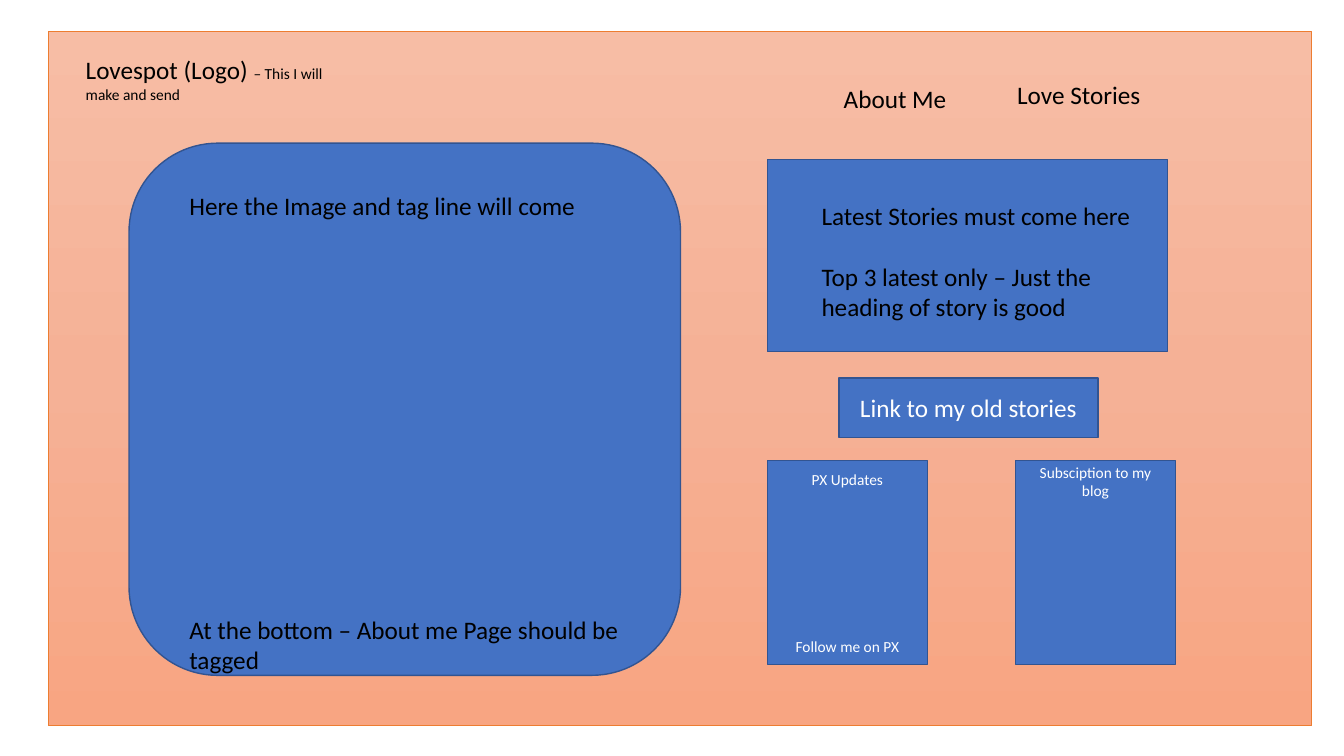
from copy import deepcopy
from dataclasses import dataclass

from pptx import Presentation
from pptx.dml.color import RGBColor
from pptx.enum.shapes import MSO_SHAPE
from pptx.enum.text import MSO_ANCHOR, MSO_AUTO_SIZE, PP_ALIGN
from pptx.oxml.ns import qn
from pptx.util import Inches, Pt

RECTANGLE, ROUNDED = MSO_SHAPE.RECTANGLE, MSO_SHAPE.ROUNDED_RECTANGLE
TOP, MIDDLE = MSO_ANCHOR.TOP, MSO_ANCHOR.MIDDLE
LEFT, CENTER = PP_ALIGN.LEFT, PP_ALIGN.CENTER
NO_AUTOFIT = MSO_AUTO_SIZE.NONE

FONT = "Calibri"
BLACK, WHITE = "000000", "FFFFFF"
BLUE, NAVY, ORANGE = "4472C4", "325491", "ED7D31"
PANEL_STOPS = ("F7BDA5", "F5B196", "F8A582")
BODY, SMALL = 18, 11
TITLE_ONLY = 5


@dataclass
class Area:
    left: float
    top: float
    width: float
    height: float

    def lengths(self) -> tuple:
        return tuple(Inches(n) for n in (self.left, self.top, self.width, self.height))


@dataclass
class Block:
    area: Area
    lines: tuple = ()
    size: int = BODY
    gap: float = 0  # points between paragraphs
    outline: int = RECTANGLE
    anchor: int = MIDDLE
    margin_top: float = 0.05


BLOCKS = (
    Block(Area(1.28, 1.42, 5.47, 5.28), outline=ROUNDED),
    Block(Area(7.61, 1.58, 3.97, 1.91)),
    Block(Area(7.61, 4.57, 1.59, 2.02), ("PX Updates", "Follow me on PX"), SMALL, 106),
    Block(Area(10.07, 4.57, 1.59, 2.02), ("Subsciption to my blog",), SMALL,
          anchor=TOP, margin_top=0.02),
    Block(Area(8.32, 3.75, 2.57, 0.59), ("Link to my old stories",)),
)
NOTES = (
    Block(Area(1.78, 1.84, 4.57, 4.95),
          ("Here the Image and tag line will come",
           "At the bottom – About me Page should be tagged"), gap=281),
    Block(Area(8.05, 1.94, 3.36, 1.31),
          ("Latest Stories must come here",
           "Top 3 latest only – Just the heading of story is good"), gap=21.6),
    Block(Area(8.27, 0.78, 1.33, 0.4), ("About Me",)),
    Block(Area(9.99, 0.74, 2.07, 0.4), ("Love Stories",)),
)


def color(value: str) -> RGBColor:
    return RGBColor.from_string(value)


def style(font, size: int, value: str) -> None:
    font.name, font.size = FONT, Pt(size)
    font.color.rgb = color(value)


def write(frame, block: Block, value: str, align: int) -> None:
    frame.word_wrap = True
    for index, line in enumerate(block.lines):
        para = frame.add_paragraph() if index else frame.paragraphs[0]
        para.text = line
        para.alignment = align
        style(para.font, block.size, value)
        if index:
            para.space_before = Pt(block.gap)


def draw_shape(page, area: Area, outline: int, line: str, width: float):
    shape = page.shapes.add_shape(outline, *area.lengths())
    shape.shadow.inherit = False
    shape.line.color.rgb = color(line)
    shape.line.width = Pt(width)
    return shape


def draw_block(page, block: Block) -> None:
    shape = draw_shape(page, block.area, block.outline, NAVY, 1)
    shape.fill.solid()
    shape.fill.fore_color.rgb = color(BLUE)
    frame = shape.text_frame
    frame.vertical_anchor = block.anchor
    frame.margin_top = Inches(block.margin_top)
    write(frame, block, WHITE, CENTER)


def draw_note(page, note: Block) -> None:
    box = page.shapes.add_textbox(*note.area.lengths())
    write(box.text_frame, note, BLACK, LEFT)


def draw_panel(page):
    panel = draw_shape(page, Area(0.48, 0.31, 12.53, 6.89), RECTANGLE, ORANGE, 0.5)
    panel.fill.gradient()
    panel.fill.gradient_angle = 270
    stop_list = panel.element.find(".//" + qn("a:gsLst"))
    stop_list.insert(1, deepcopy(stop_list[0]))
    stop_list[1].set("pos", "50000")
    for stop, value in zip(panel.fill.gradient_stops, PANEL_STOPS):
        stop.color.rgb = color(value)
    return panel


def draw_title(page, panel) -> None:
    title = page.shapes.title
    title.left, title.top, title.width, title.height = Area(0.75, 0.49, 2.92, 0.61).lengths()
    frame = title.text_frame
    frame.word_wrap = True
    frame.auto_size = NO_AUTOFIT
    frame.vertical_anchor = TOP
    para = frame.paragraphs[0]
    para.alignment = LEFT
    for text, size in (("Lovespot (Logo) ", BODY), ("– This I will make and send", SMALL)):
        span = para.add_run()
        span.text = text
        style(span.font, size, BLACK)
    panel.element.addnext(title.element)  # bring the title in front of the panel


deck = Presentation()
deck.slide_width, deck.slide_height = Inches(13.33), Inches(7.5)
page = deck.slides.add_slide(deck.slide_layouts[TITLE_ONLY])

# Page background and site name
draw_title(page, draw_panel(page))

# Blue content blocks, then the text on top of them
for block in BLOCKS:
    draw_block(page, block)
for note in NOTES:
    draw_note(page, note)

deck.save("out.pptx")
